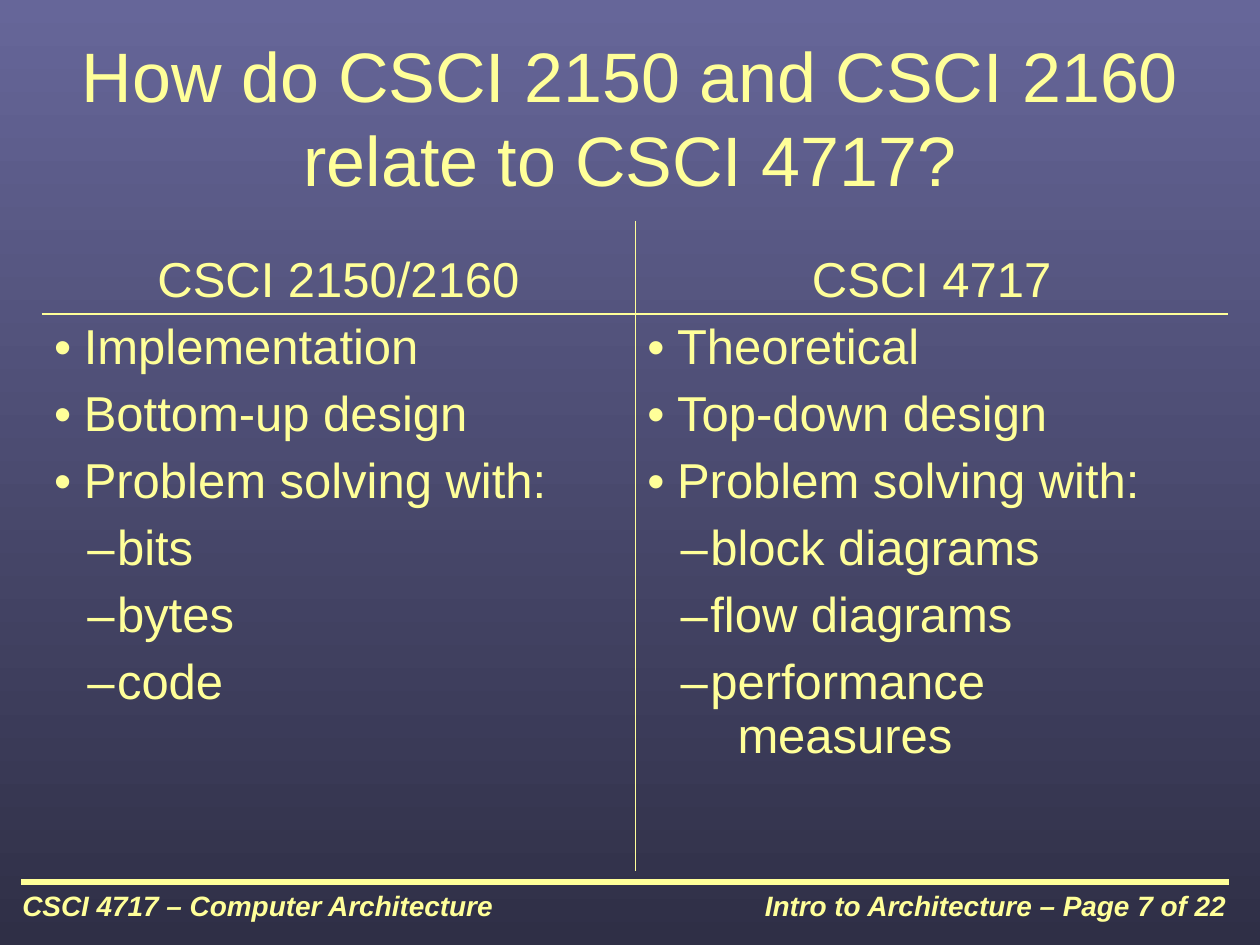
from pptx import Presentation
from pptx.dml.color import RGBColor
from pptx.enum.shapes import MSO_CONNECTOR
from pptx.enum.text import MSO_ANCHOR, PP_ALIGN
from pptx.oxml.ns import qn
from pptx.util import Cm, Pt
from lxml import etree

STRAIGHT = MSO_CONNECTOR.STRAIGHT
TOP, MIDDLE, BOTTOM = MSO_ANCHOR.TOP, MSO_ANCHOR.MIDDLE, MSO_ANCHOR.BOTTOM
LEFT, CENTER, RIGHT = PP_ALIGN.LEFT, PP_ALIGN.CENTER, PP_ALIGN.RIGHT

PALE_YELLOW = RGBColor(0xFF, 0xFF, 0x99)
SLATE_BLUE = RGBColor(0x66, 0x66, 0x99)
DARK_NAVY = RGBColor(0x2F, 0x2F, 0x46)

TITLE_FONT = {"name": "Arial", "size": Pt(40), "bold": False}
TABLE_FONT = {"name": "Arial", "size": Pt(28), "bold": False}
FOOTER_FONT = {"name": "Arial", "size": Pt(16), "bold": True, "italic": True}

MARGINS = {
    "margin_left": Cm(0.25),
    "margin_right": Cm(0.25),
    "margin_top": Cm(0.13),
    "margin_bottom": Cm(0.13),
}
BULLETS = [("•", Cm(0.6)), ("–", Cm(1.27))]
HANGING = Cm(0.6)
THIN, RULE = Pt(0.45), Pt(1.47)

COURSES = [
    ("CSCI 2150/2160", [
        (0, "Implementation"),
        (0, "Bottom-up design"),
        (0, "Problem solving with:"),
        (1, "bits"),
        (1, "bytes"),
        (1, "code"),
    ]),
    ("CSCI 4717", [
        (0, "Theoretical"),
        (0, "Top-down design"),
        (0, "Problem solving with:"),
        (1, "block diagrams"),
        (1, "flow diagrams"),
        (1, "performance \v  measures"),
    ]),
]


def apply(target, values):
    for name, value in values.items():
        setattr(target, name, value)


def write(paragraph, text, font, alignment):
    paragraph.text = text
    paragraph.alignment = alignment
    for run in paragraph.runs:
        apply(run.font, font)
        run.font.color.rgb = PALE_YELLOW


def paint_background(slide):
    fill = slide.background.fill
    fill.gradient()
    fill.gradient_angle = 270
    for stop, color in zip(fill.gradient_stops, (SLATE_BLUE, DARK_NAVY)):
        stop.color.rgb = color


def place_title(slide, text):
    title = slide.shapes.title
    apply(title, {"left": Cm(1.27), "top": Cm(0.76),
                  "width": Cm(22.86), "height": Cm(3.18)})
    frame = title.text_frame
    apply(frame, {**MARGINS, "word_wrap": True, "vertical_anchor": MIDDLE})
    write(frame.paragraphs[0], text, TITLE_FONT, CENTER)


def add_footer_rule(slide):
    rule = slide.shapes.add_connector(
        STRAIGHT, Cm(0.43), Cm(17.78), Cm(24.77), Cm(17.78))
    rule.line.color.rgb = PALE_YELLOW
    rule.line.width = Pt(4)
    etree.SubElement(rule._element.spPr, qn("a:effectLst"))


def add_footer(slide, left, text, alignment):
    footer = slide.shapes.add_textbox(left, Cm(17.78), Cm(12.9), Cm(0.94))
    apply(footer.text_frame, {**MARGINS, "word_wrap": True})
    write(footer.text_frame.paragraphs[0], text, FOOTER_FONT, alignment)


def add_bullet(paragraph, level):
    symbol, indent = BULLETS[level]
    paragraph.level = level
    properties = paragraph._p.get_or_add_pPr()
    properties.set("marL", str(indent))
    properties.set("indent", str(-HANGING))
    color = etree.SubElement(properties, qn("a:buClr"))
    etree.SubElement(color, qn("a:srgbClr"), val=str(PALE_YELLOW))
    etree.SubElement(properties, qn("a:buFont"), typeface="Arial")
    etree.SubElement(properties, qn("a:buChar"), char=symbol)


def set_borders(cell, widths):
    properties = cell._tc.get_or_add_tcPr()
    for side in ("lnL", "lnR", "lnT", "lnB"):
        border = etree.SubElement(properties, qn(f"a:{side}"))
        if side in widths:
            border.set("w", str(widths[side]))
            fill = etree.SubElement(border, qn("a:solidFill"))
            etree.SubElement(fill, qn("a:srgbClr"), val=str(PALE_YELLOW))
        else:
            etree.SubElement(border, qn("a:noFill"))


def format_cell(cell, anchor, borders):
    apply(cell, {**MARGINS, "vertical_anchor": anchor})
    set_borders(cell, borders)
    cell.fill.background()


def fill_topics(cell, topics):
    frame = cell.text_frame
    for index, (level, topic) in enumerate(topics):
        paragraph = frame.add_paragraph() if index else frame.paragraphs[0]
        if index:
            paragraph.space_before = Pt(7)
        add_bullet(paragraph, level)
        write(paragraph, topic, TABLE_FONT, LEFT)


def add_comparison(slide):
    table = slide.shapes.add_table(
        2, len(COURSES), Cm(0.84), Cm(4.45), Cm(23.92), Cm(13.11)).table
    apply(table, {"first_row": False, "horz_banding": False})
    for row, height in zip(table.rows, (Cm(1.88), Cm(11.23))):
        row.height = height
    for column, (course, topics) in enumerate(COURSES):
        divider = {"lnL" if column else "lnR": THIN}
        heading, body = table.cell(0, column), table.cell(1, column)
        format_cell(heading, BOTTOM, {**divider, "lnB": RULE})
        format_cell(body, TOP, {**divider, "lnT": RULE})
        write(heading.text_frame.paragraphs[0], course, TABLE_FONT, CENTER)
        fill_topics(body, topics)


def main():
    presentation = Presentation()
    apply(presentation, {"slide_width": Cm(25.4), "slide_height": Cm(19.05)})
    slide = presentation.slides.add_slide(presentation.slide_layouts[5])
    paint_background(slide)
    add_footer_rule(slide)
    add_footer(slide, Cm(12.07), "Intro to Architecture – Page 7 of 22", RIGHT)
    add_footer(slide, Cm(0.2), "CSCI 4717 – Computer Architecture", LEFT)
    place_title(slide, "How do CSCI 2150 and CSCI 2160 relate to CSCI 4717?")
    add_comparison(slide)
    presentation.save("out.pptx")


if __name__ == "__main__":
    main()
